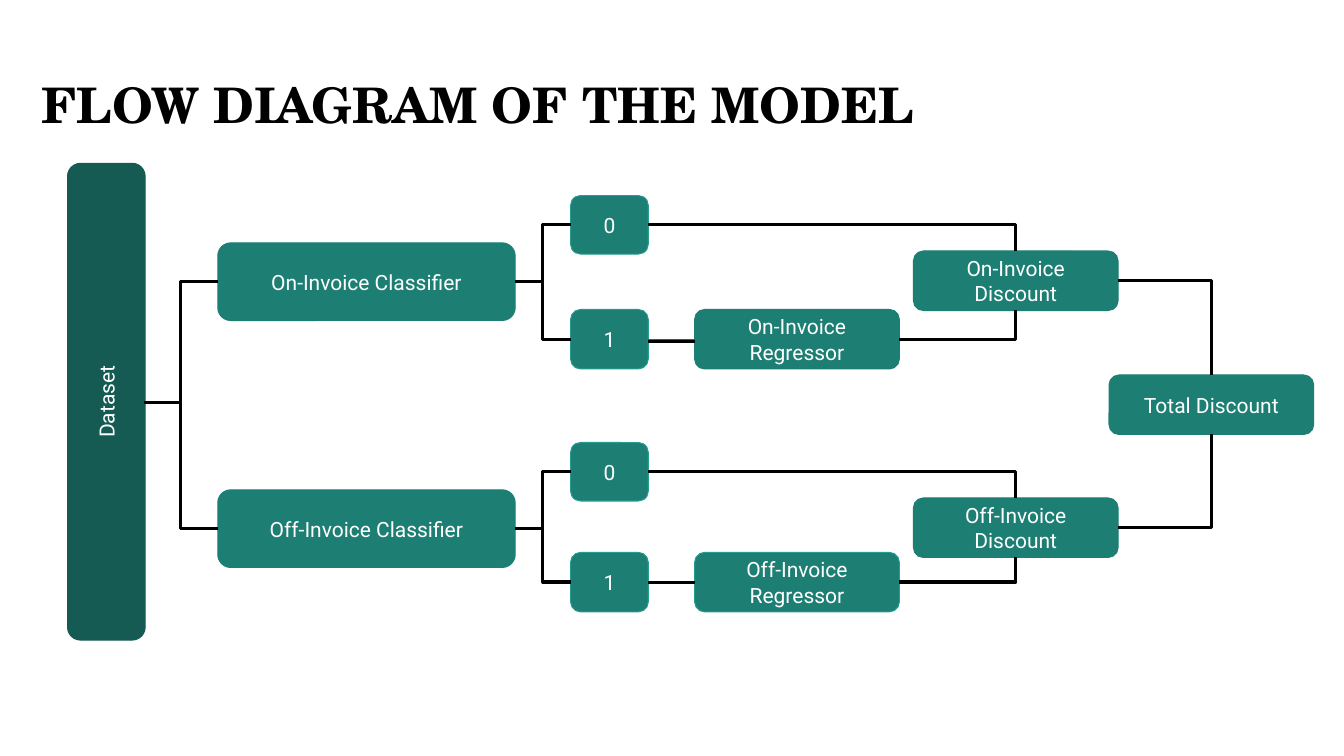
"""Build the slide with the flow diagram of the invoice discount model."""
from dataclasses import dataclass

import pptx
import pptx.dml.color
import pptx.enum.shapes
import pptx.enum.text
import pptx.oxml
import pptx.oxml.ns
import pptx.shapes.autoshape
import pptx.shapes.connector
import pptx.slide
import pptx.util

EMU_PER_PX = 9144
RGBColor = pptx.dml.color.RGBColor
WHITE = RGBColor(0xFF, 0xFF, 0xFF)
BLACK = RGBColor(0x00, 0x00, 0x00)
SLATE = RGBColor(0x44, 0x54, 0x6A)
DARK_TEAL = RGBColor(0x15, 0x5B, 0x54)
TEAL = RGBColor(0x1D, 0x7E, 0x74)
LIGHT_TEAL = RGBColor(0x24, 0x9C, 0x90)
TITLE_FONT = "TeX Gyre Schola"
BODY_FONT = "Roboto"
TOP, LEFT, BOTTOM, RIGHT = range(4)
STRAIGHT, STEP, CORNER = "line", "bentConnector3", "bentConnector2"


@dataclass
class Box:
    text: str
    left: int
    top: int
    width: int
    height: int
    fill: RGBColor = TEAL
    edge: RGBColor = TEAL
    rotation: int = 0


@dataclass
class Branch:
    name: str
    top: int
    one_top: int
    regressor_edge: RGBColor


@dataclass
class Link:
    begin: pptx.shapes.autoshape.Shape
    begin_side: int
    end: pptx.shapes.autoshape.Shape
    end_side: int
    preset: str
    color: RGBColor = BLACK
    weight: float = 2.25


BRANCHES = [
    Branch("On-Invoice", 241, 307, TEAL),
    Branch("Off-Invoice", 486, 548, LIGHT_TEAL),
]


def px(n: int) -> pptx.util.Emu:
    return pptx.util.Emu(n * EMU_PER_PX)


def add_title(slide: pptx.slide.Slide, text: str) -> None:
    sp = slide.shapes.title
    sp.left, sp.top, sp.width, sp.height = px(31), px(77), px(1103), px(59)
    tf = sp.text_frame
    tf.text = text
    tf.word_wrap = True
    tf.auto_size = pptx.enum.text.MSO_AUTO_SIZE.NONE
    tf.vertical_anchor = pptx.enum.text.MSO_ANCHOR.MIDDLE
    p = tf.paragraphs[0]
    p.alignment = pptx.enum.text.PP_ALIGN.LEFT
    p.line_spacing = 0.9
    font = p.runs[0].font
    font.name, font.size, font.bold = TITLE_FONT, pptx.util.Pt(35), True
    font.color.rgb = BLACK


def add_box(slide: pptx.slide.Slide, box: Box) -> pptx.shapes.autoshape.Shape:
    sp = slide.shapes.add_shape(
        pptx.enum.shapes.MSO_SHAPE.ROUNDED_RECTANGLE,
        px(box.left), px(box.top), px(box.width), px(box.height),
    )
    sp.shadow.inherit = False
    sp.rotation = box.rotation
    sp.fill.solid()
    sp.fill.fore_color.rgb = box.fill
    sp.line.color.rgb = box.edge
    sp.line.width = pptx.util.Pt(0.75)
    tf = sp.text_frame
    tf.text = box.text
    tf.word_wrap = True
    tf.vertical_anchor = pptx.enum.text.MSO_ANCHOR.MIDDLE
    tf.margin_left = tf.margin_right = tf.margin_top = tf.margin_bottom = px(13)
    p = tf.paragraphs[0]
    p.alignment = pptx.enum.text.PP_ALIGN.CENTER
    font = p.runs[0].font
    font.name, font.size = BODY_FONT, pptx.util.Pt(15)
    font.color.rgb = WHITE
    return sp


def add_line(
    slide: pptx.slide.Slide,
    preset: str,
    x: int = 0,
    y: int = 0,
    end_x: int = 0,
    end_y: int = 0,
    color: RGBColor = BLACK,
    weight: float = 2.25,
) -> pptx.shapes.connector.Connector:
    kinds = pptx.enum.shapes.MSO_CONNECTOR
    kind = kinds.STRAIGHT if preset == STRAIGHT else kinds.ELBOW
    c = slide.shapes.add_connector(kind, px(x), px(y), px(end_x), px(end_y))
    c.line.color.rgb = color
    c.line.width = pptx.util.Pt(weight)
    props = c._element.spPr
    props.find(pptx.oxml.ns.qn("a:prstGeom")).set("prst", preset)
    props.append(pptx.oxml.parse_xml(f"<a:effectLst {pptx.oxml.ns.nsdecls('a')}/>"))
    return c


def add_link(slide: pptx.slide.Slide, link: Link) -> None:
    c = add_line(slide, link.preset, color=link.color, weight=link.weight)
    c.begin_connect(link.begin, link.begin_side)
    c.end_connect(link.end, link.end_side)


def add_branch(
    slide: pptx.slide.Slide, branch: Branch, total: pptx.shapes.autoshape.Shape
) -> None:
    name, top, one_top = branch.name, branch.top, branch.one_top
    classifier = add_box(slide, Box(f"{name} Classifier", 216, top, 295, 77))
    zero = add_box(slide, Box("0", 566, top - 47, 77, 58, edge=LIGHT_TEAL))
    one = add_box(slide, Box("1", 566, one_top, 77, 59, edge=LIGHT_TEAL))
    regressor = add_box(
        slide, Box(f"{name} Regressor", 689, one_top, 203, 59, edge=branch.regressor_edge)
    )
    discount = add_box(slide, Box(f"{name} Discount", 906, top + 8, 203, 59))

    trunk = add_line(slide, STEP, 143, 399, 216, top + 38)
    trunk.end_connect(classifier, LEFT)
    is_on = branch is BRANCHES[0]
    color, weight = (SLATE, 0.75) if is_on else (BLACK, 2.25)
    for link in (
        Link(classifier, RIGHT, zero, LEFT, STEP),
        Link(classifier, RIGHT, one, LEFT, STEP),
        Link(one, RIGHT, regressor, LEFT, STRAIGHT, color, weight),
        Link(zero, RIGHT, discount, TOP, CORNER),
        Link(regressor, RIGHT, discount, BOTTOM, CORNER),
        Link(discount, RIGHT, total, TOP if is_on else BOTTOM, CORNER),
    ):
        add_link(slide, link)
    if is_on:
        add_line(slide, STRAIGHT, 643, 339, 689, 339)


def main() -> None:
    prs = pptx.Presentation()
    prs.slide_width, prs.slide_height = px(1333), px(750)
    slide = prs.slides.add_slide(prs.slide_layouts[5])
    add_title(slide, "FLOW DIAGRAM OF THE MODEL")
    add_box(slide, Box("Dataset", -131, 360, 473, 77, DARK_TEAL, DARK_TEAL, 270))
    total = add_box(slide, Box("Total Discount", 1100, 372, 203, 59))
    for branch in BRANCHES:
        add_branch(slide, branch, total)
    prs.save("out.pptx")


if __name__ == "__main__":
    main()
